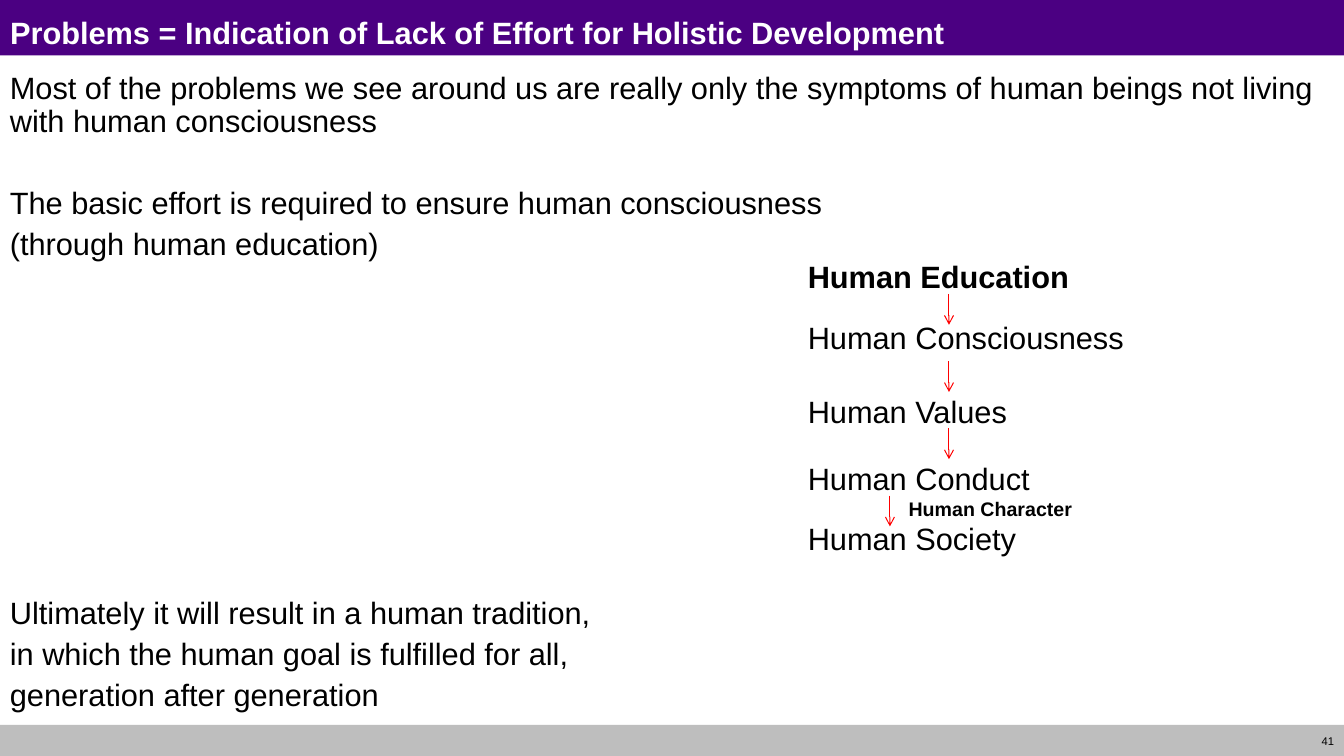
"""Builds the slide on problems as a lack of effort for holistic development."""
from lxml.etree import SubElement
from pptx import Presentation
from pptx.dml.color import RGBColor
from pptx.enum.shapes import MSO_CONNECTOR, MSO_SHAPE
from pptx.enum.text import MSO_ANCHOR, MSO_AUTO_SIZE, PP_ALIGN
from pptx.oxml.ns import qn
from pptx.util import Pt


def color(hex_value):
    return RGBColor.from_string(hex_value)


def write(frame, lines, line_factor=1.2, hue="000000", align=PP_ALIGN.LEFT, anchor=MSO_ANCHOR.TOP):
    frame_format = {"word_wrap": True, "auto_size": MSO_AUTO_SIZE.NONE, "vertical_anchor": anchor,
                    "margin_left": Pt(7.2), "margin_right": Pt(7.2),
                    "margin_top": Pt(3.6), "margin_bottom": Pt(3.6)}
    for key, value in frame_format.items():
        setattr(frame, key, value)
    for index, (words, size, bold, gap) in enumerate(lines):
        paragraph = frame.add_paragraph() if index else frame.paragraphs[0]
        paragraph.text = words
        spacing = {"alignment": align, "line_spacing": Pt(line_factor * size), "space_before": Pt(gap)}
        for key, value in spacing.items():
            setattr(paragraph, key, value)
        for key, value in {"name": "Arial", "size": Pt(size), "bold": bold}.items():
            setattr(paragraph.font, key, value)
        paragraph.font.color.rgb = color(hue)


WIDTH, HEIGHT = 960.48, 540
deck = Presentation()
deck.slide_width, deck.slide_height = Pt(WIDTH), Pt(HEIGHT)
slide = deck.slides.add_slide(deck.slide_layouts[5])
shapes = slide.shapes

for depth, (top, height, fill) in enumerate([(0, 39.6, "4B0082"), (517.7, 22.3, "BEBEBE")]):
    band = shapes.add_shape(MSO_SHAPE.RECTANGLE, 0, Pt(top), Pt(WIDTH), Pt(height))
    band.shadow.inherit = False
    band.fill.solid()
    band.fill.fore_color.rgb = color(fill)
    band.line.fill.background()
    shapes._spTree.insert(2 + depth, band._element)

heading = shapes.title
for key, value in {"left": 0, "top": 6, "width": 960, "height": 30.2}.items():
    setattr(heading, key, Pt(value))
write(heading.text_frame,
      [("Problems = Indication of Lack of Effort for Holistic Development", 22, True, 0)],
      hue="FFFFFF")

page_number = shapes.add_textbox(Pt(915.1), Pt(517.7), Pt(45.4), Pt(23))
write(page_number.text_frame, [("41", 8, False, 0)], align=PP_ALIGN.RIGHT, anchor=MSO_ANCHOR.MIDDLE)

GAP = 5.5
ROW = 0.9 * 1.2 * 22 + GAP
message = shapes.add_textbox(0, Pt(48.2), Pt(960), Pt(468))
write(message.text_frame, [
    ("Most of the problems we see around us are really only the symptoms of human beings "
     "not living with human consciousness", 22, False, 0),
    ("The basic effort is required to ensure human consciousness", 22, False, GAP + ROW),
    ("(through human education)", 22, False, GAP),
    ("Ultimately it will result in a human tradition,", 22, False, GAP + 8 * ROW),
    ("in which the human goal is fulfilled for all,", 22, False, GAP),
    ("generation after generation", 22, False, GAP),
], line_factor=0.9 * 1.2)

chain = shapes.add_textbox(Pt(570.2), Pt(180.7), Pt(258.5), Pt(221))
write(chain.text_frame, [
    ("Human Education", 22, True, 0),
    ("Human Consciousness", 22, False, 16.8),
    ("Human Values", 22, False, 26.4),
    ("Human Conduct", 22, False, 21.6),
    ("Human Character", 14, True, 0),
    ("Human Society", 22, False, 0),
])
character = chain.text_frame.paragraphs[4]
character._p.get_or_add_pPr().set("marL", str(Pt(72)))

for step, x in enumerate([678.2, 678.2, 678.2, 636]):
    y = 210 + 48 * step
    arrow = shapes.add_connector(MSO_CONNECTOR.STRAIGHT, Pt(x), Pt(y), Pt(x), Pt(y + 22))
    arrow.line.color.rgb = color("FF0000")
    arrow.line.width = Pt(0.75)
    SubElement(arrow.line._get_or_add_ln(), qn("a:tailEnd"), type="arrow")
    SubElement(arrow._element.spPr, qn("a:effectLst"))

deck.save("out.pptx")
